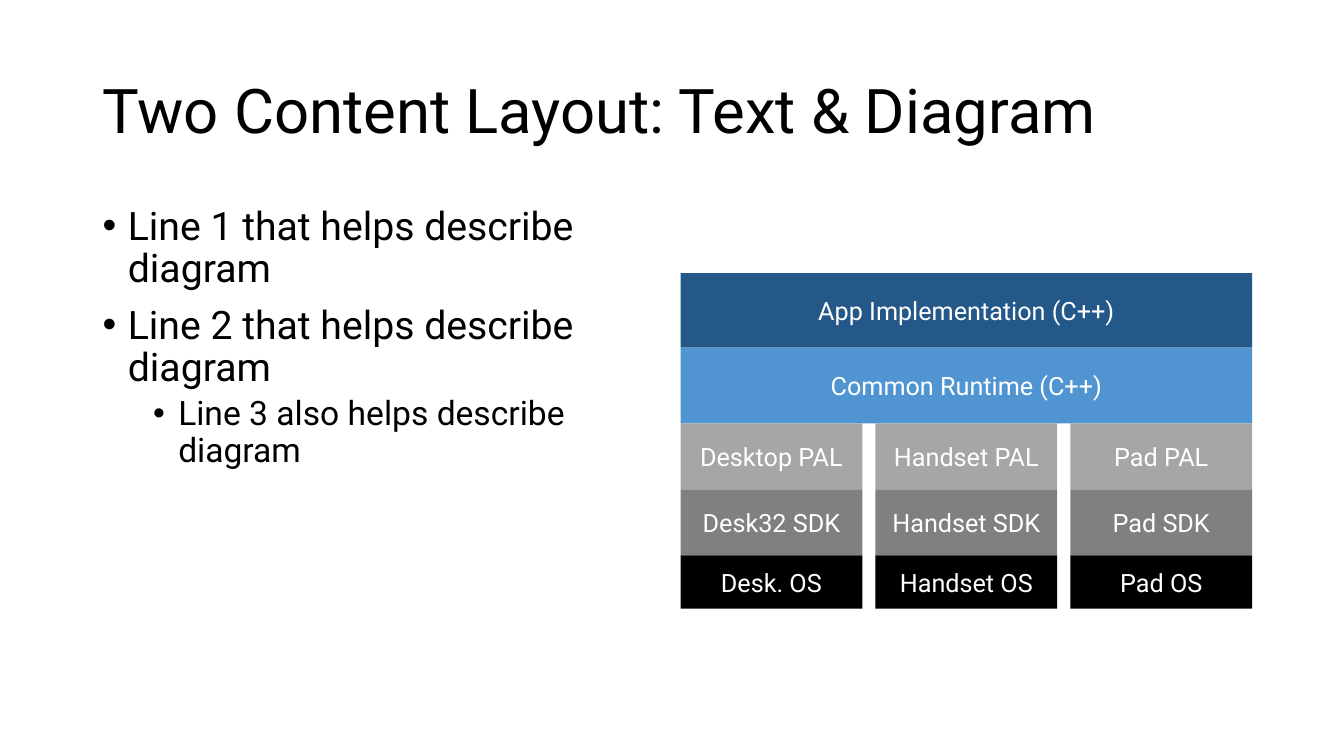
"""Build a slide with bullets beside a layered platform diagram."""
from lxml.etree import SubElement
from pptx import Presentation
from pptx.dml.color import RGBColor
from pptx.enum.shapes import MSO_SHAPE
from pptx.enum.text import MSO_ANCHOR, PP_ALIGN
from pptx.oxml.ns import qn
from pptx.util import Inches, Pt

FONT = "Roboto"
TITLE = "Two Content Layout: Text & Diagram"
BULLETS = [
    (0, "Line 1 that helps describe diagram"),
    (0, "Line 2 that helps describe diagram"),
    (1, "Line 3 also helps describe diagram"),
]
LEVELS = [
    {"size": 28, "indent": 0.25, "before": 10},
    {"size": 24, "indent": 0.75, "before": 5},
]
LAYERS = [
    (0.74, "235888", ["App Implementation (C++)"]),
    (0.75, "5095D1", ["Common Runtime (C++)"]),
    (0.66, "A6A6A6", ["Desktop PAL", "Handset PAL", "Pad PAL"]),
    (0.65, "808080", ["Desk32 SDK", "Handset SDK", "Pad SDK"]),
    (0.53, "000000", ["Desk. OS", "Handset OS", "Pad OS"]),
]
STACK_LEFT, STACK_TOP, STACK_WIDTH = 6.75, 2.71, 5.67
COLUMN_GAP = 0.13


def color(value):
    return RGBColor.from_string(value)


def style(paragraph, size, value="000000"):
    paragraph.font.name = FONT
    paragraph.font.size = Pt(size)
    paragraph.font.color.rgb = color(value)


def add_text_frame(slide, left, top, width, height):
    box = slide.shapes.add_textbox(*map(Inches, (left, top, width, height)))
    box.text_frame.word_wrap = True
    return box.text_frame


def add_title(slide):
    frame = add_text_frame(slide, 0.92, 0.4, 11.5, 1.45)
    frame.vertical_anchor = MSO_ANCHOR.MIDDLE
    frame.text = TITLE
    paragraph = frame.paragraphs[0]
    paragraph.line_spacing = 0.9
    style(paragraph, 44)


def add_bullets(slide):
    frame = add_text_frame(slide, 0.92, 2, 5.67, 4.76)
    frame.text = "\n".join(text for _, text in BULLETS)
    for index, (paragraph, (depth, _)) in enumerate(zip(frame.paragraphs, BULLETS)):
        level = LEVELS[depth]
        paragraph.level = depth
        paragraph.line_spacing = 0.9
        paragraph.space_before = Pt(level["before"] if index else 0)
        properties = paragraph._p.get_or_add_pPr()
        properties.set("marL", str(Inches(level["indent"])))
        properties.set("indent", str(Inches(-0.25)))
        SubElement(properties, qn("a:buFont"), typeface="Arial")
        SubElement(properties, qn("a:buChar"), char="•")
        style(paragraph, level["size"])


def add_block(group, label, fill, left, top, width, height):
    block = group.shapes.add_shape(
        MSO_SHAPE.RECTANGLE, *map(Inches, (left, top, width, height)))
    block.shadow.inherit = False
    block.fill.solid()
    block.fill.fore_color.rgb = color(fill)
    block.line.fill.background()
    frame = block.text_frame
    frame.word_wrap = True
    frame.vertical_anchor = MSO_ANCHOR.MIDDLE
    frame.text = label
    paragraph = frame.paragraphs[0]
    paragraph.alignment = PP_ALIGN.CENTER
    style(paragraph, 18, "FFFFFF")


def add_diagram(slide):
    group = slide.shapes.add_group_shape()
    top = STACK_TOP
    for height, fill, labels in LAYERS:
        pitch = (STACK_WIDTH + COLUMN_GAP) / len(labels)
        for column, label in enumerate(labels):
            add_block(group, label, fill, STACK_LEFT + column * pitch, top,
                      pitch - COLUMN_GAP, height)
        top += height


def main():
    presentation = Presentation()
    presentation.slide_width = Inches(13.33)
    presentation.slide_height = Inches(7.5)
    slide = presentation.slides.add_slide(presentation.slide_layouts[6])
    add_title(slide)
    add_bullets(slide)
    add_diagram(slide)
    presentation.save("out.pptx")


if __name__ == "__main__":
    main()
